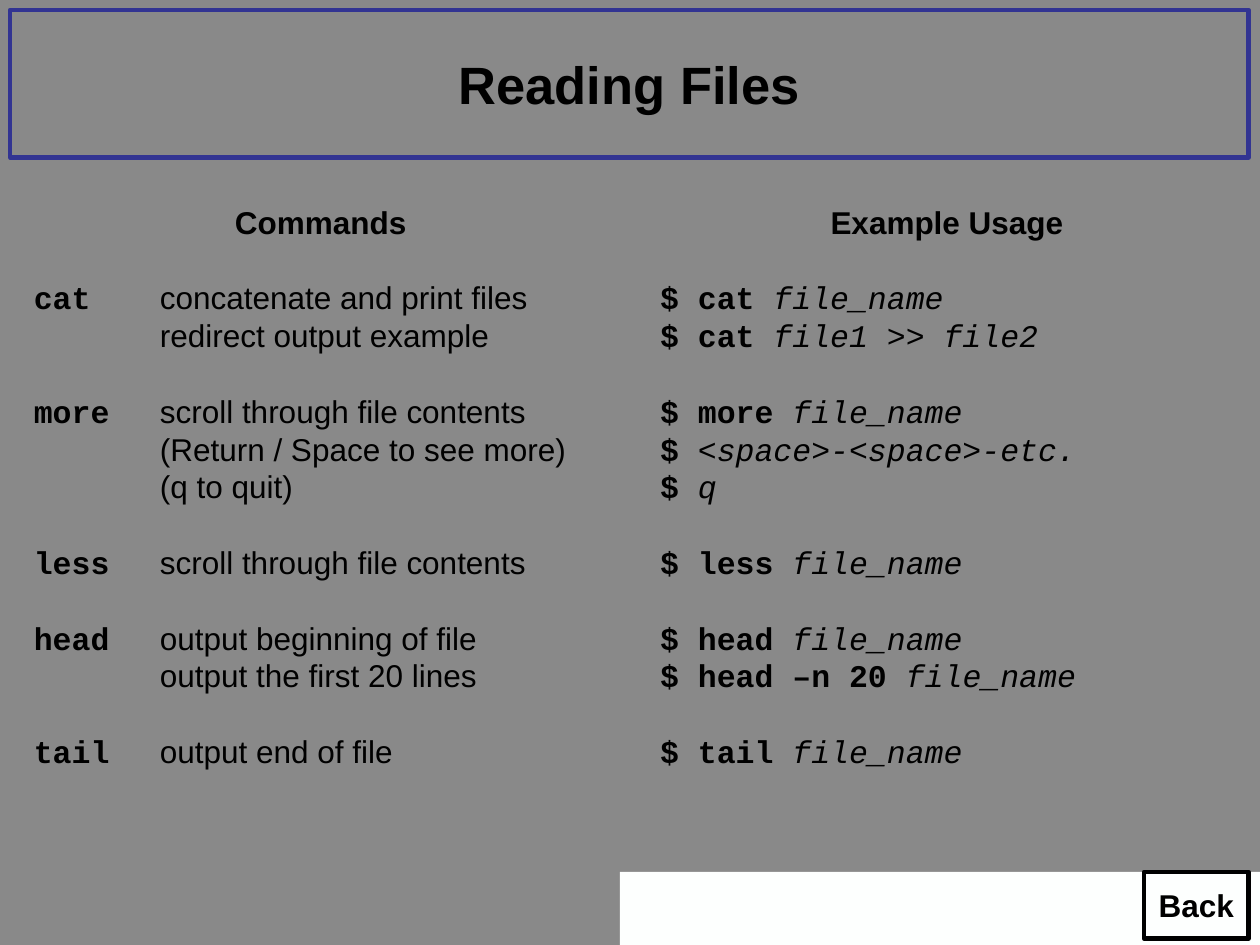
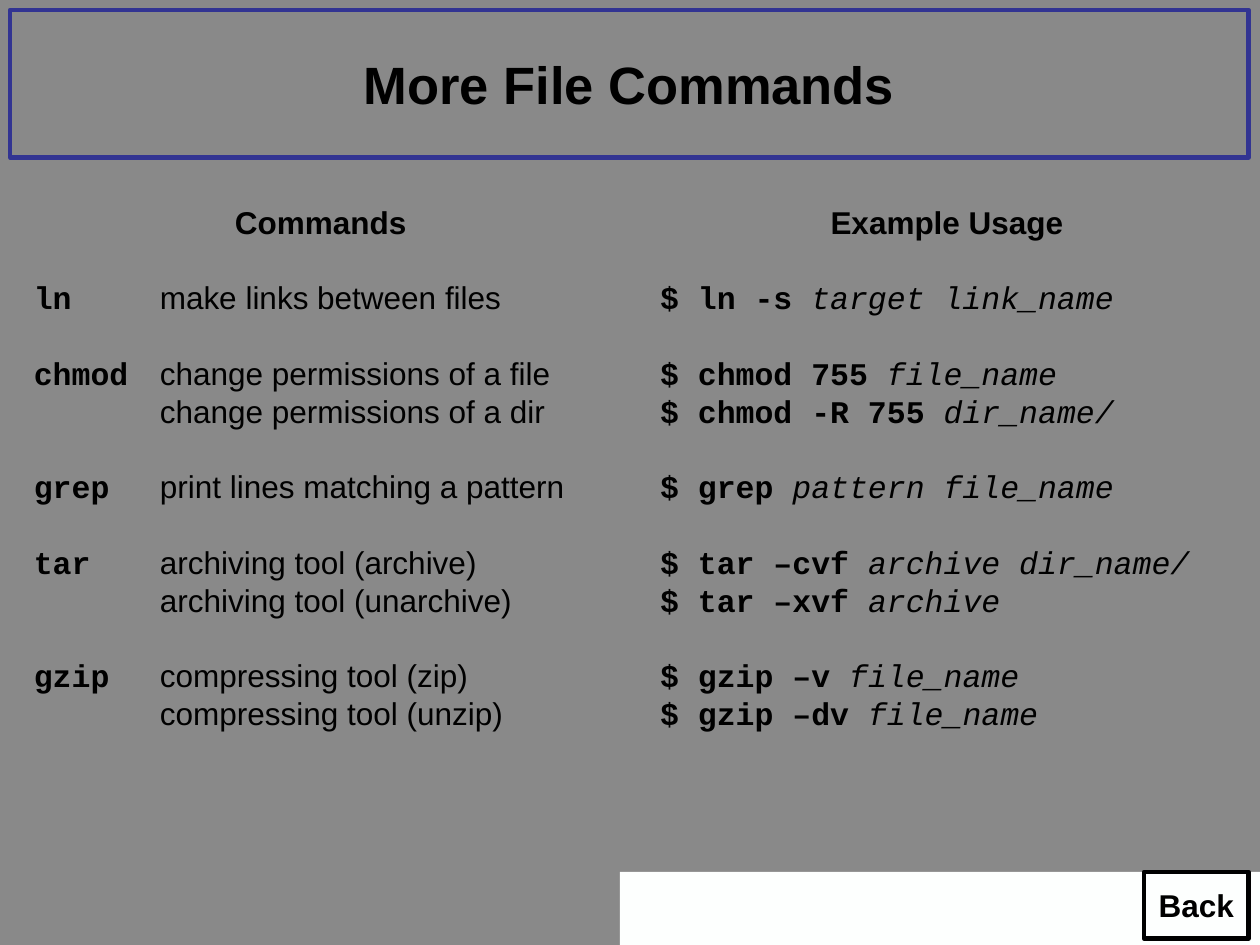
from dataclasses import dataclass

from lxml.etree import SubElement
from pptx import Presentation
from pptx.dml.color import RGBColor
from pptx.enum.shapes import MSO_SHAPE
from pptx.enum.text import MSO_ANCHOR, PP_ALIGN
from pptx.oxml.ns import qn
from pptx.util import Inches, Pt

PAGES = [
    ("Reading Files", 5.25, [
        ("cat",
         ["concatenate and print files", "redirect output example"],
         [("cat ", "file_name"), ("cat ", "file1 >> file2")]),
        ("more",
         ["scroll through file contents", "(Return / Space to see more)", "(q to quit)"],
         [("more ", "file_name"), ("", "<space>-<space>-etc."), ("", "q")]),
        ("less", ["scroll through file contents"], [("less ", "file_name")]),
        ("head",
         ["output beginning of file", "output the first 20 lines"],
         [("head ", "file_name"), ("head –n 20 ", "file_name")]),
        ("tail", ["output end of file"], [("tail ", "file_name")]),
    ]),
    ("More File Commands", 4.95, [
        ("ln", ["make links between files"], [("ln -s ", "target link_name")]),
        ("chmod",
         ["change permissions of a file", "change permissions of a dir"],
         [("chmod 755 ", "file_name"), ("chmod -R 755 ", "dir_name/")]),
        ("grep", ["print lines matching a pattern"], [("grep ", "pattern file_name")]),
        ("tar",
         ["archiving tool (archive)", "archiving tool (unarchive)"],
         [("tar –cvf ", "archive dir_name/"), ("tar –xvf ", "archive")]),
        ("gzip",
         ["compressing tool (zip)", "compressing tool (unzip)"],
         [("gzip –v ", "file_name"), ("gzip –dv ", "file_name")]),
    ]),
]


@dataclass(frozen=True)
class Theme:
    background: str = "898989"
    band: str = "FDFFFE"
    frame: str = "323492"
    ink: str = "000000"
    sans: str = "Arial"
    mono: str = "Courier New"
    title_size: float = 30
    body_size: float = 18
    line_pitch: float = 21.6
    border: float = 2.5


THEME = Theme()
COLUMN_TOP, COLUMN_WIDTH = 1.56, 4.75
COMMANDS_LEFT, USAGE_LEFT = 0.17, 5.14


def color(value):
    return RGBColor.from_string(value)


def write_span(para, text, font=THEME.sans, size=THEME.body_size, bold=False, italic=False):
    span = para.add_run()
    span.text = text
    span.font.name = font
    span.font.size = Pt(size)
    span.font.bold = bold
    span.font.italic = italic
    span.font.color.rgb = color(THEME.ink)


def add_box(page, left, top, width, height, fill=None, line=None, text="", size=THEME.body_size):
    box = page.shapes.add_shape(MSO_SHAPE.RECTANGLE, Inches(left), Inches(top),
                                Inches(width), Inches(height))
    box.shadow.inherit = False
    if fill:
        box.fill.solid()
        box.fill.fore_color.rgb = color(fill)
    else:
        box.fill.background()
    if line:
        box.line.color.rgb = color(line)
        box.line.width = Pt(THEME.border)
    else:
        box.line.fill.background()
    if text:
        frame = box.text_frame
        frame.word_wrap = False
        frame.vertical_anchor = MSO_ANCHOR.MIDDLE
        para = frame.paragraphs[0]
        para.alignment = PP_ALIGN.CENTER
        write_span(para, text, size=size, bold=True)


def add_column(page, left, height, heading):
    box = page.shapes.add_textbox(Inches(left), Inches(COLUMN_TOP),
                                  Inches(COLUMN_WIDTH), Inches(height))
    frame = box.text_frame
    frame.word_wrap = True
    para = frame.paragraphs[0]
    para.alignment = PP_ALIGN.CENTER
    para.line_spacing = Pt(THEME.line_pitch)
    write_span(para, heading, bold=True)
    return frame


def add_line(frame, starts_group):
    para = frame.add_paragraph()
    para.alignment = PP_ALIGN.LEFT
    para.line_spacing = Pt(THEME.line_pitch)
    para.space_before = Pt(THEME.line_pitch if starts_group else 0)
    return para


def add_tab_stop(para, position):
    stops = SubElement(para._p.get_or_add_pPr(), qn("a:tabLst"))
    SubElement(stops, qn("a:tab"), pos=str(Inches(position)), algn="l")


def add_page(deck, title, height, commands):
    page = deck.slides.add_slide(deck.slide_layouts[6])
    add_box(page, 4.92, 6.92, 5.08, 0.58, fill=THEME.band)
    add_box(page, 0.08, 0.08, 9.83, 1.17, line=THEME.frame, text=title, size=THEME.title_size)

    command_column = add_column(page, COMMANDS_LEFT, height, "Commands")
    usage_column = add_column(page, USAGE_LEFT, height, "Example Usage")
    for name, descriptions, examples in commands:
        for index, description in enumerate(descriptions):
            para = add_line(command_column, index == 0)
            add_tab_stop(para, 1)
            label = name if index == 0 else ""
            write_span(para, label + "\t", font=THEME.mono, bold=True)
            write_span(para, description)
        for index, (command, argument) in enumerate(examples):
            para = add_line(usage_column, index == 0)
            write_span(para, "$ " + command, font=THEME.mono, bold=True)
            write_span(para, argument, font=THEME.mono, italic=True)

    add_box(page, 9.08, 6.92, 0.83, 0.53, line=THEME.ink, text="Back")


deck = Presentation()
deck.slide_width, deck.slide_height = Inches(10), Inches(7.5)
backdrop = deck.slide_master.background.fill
backdrop.solid()
backdrop.fore_color.rgb = color(THEME.background)
for title, height, commands in PAGES:
    add_page(deck, title, height, commands)
deck.save("out.pptx")
